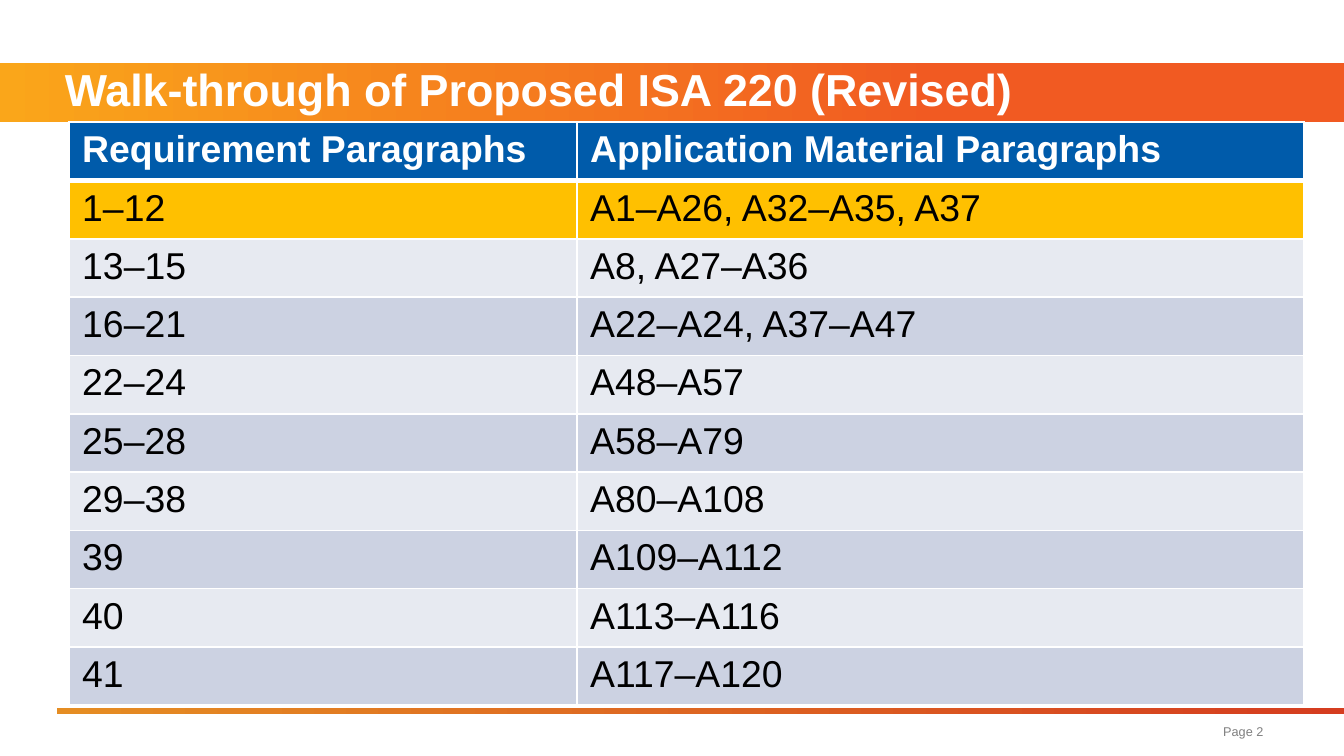
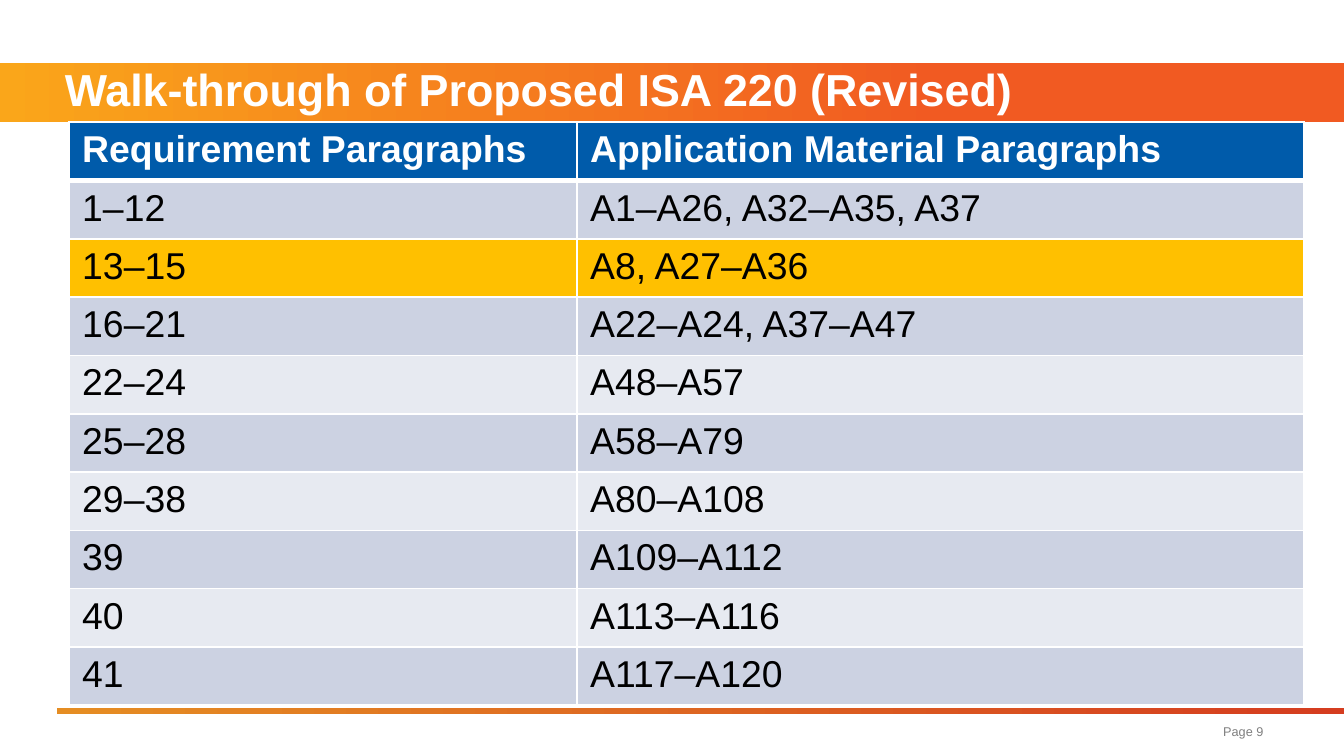
"""Build two walk-through slides that highlight successive rows of one table."""
from lxml.etree import SubElement
from pptx import Presentation
from pptx.dml.color import RGBColor
from pptx.enum.shapes import MSO_SHAPE
from pptx.enum.text import MSO_ANCHOR, MSO_AUTO_SIZE, PP_ALIGN
from pptx.oxml.ns import qn
from pptx.util import Cm, Pt

TITLE = "Walk-through of Proposed ISA 220 (Revised)"
HEADER = ("Requirement Paragraphs", "Application Material Paragraphs")
PARAGRAPHS = [
    ("1‒12", "A1‒A26, A32‒A35, A37"),
    ("13‒15", "A8, A27‒A36"),
    ("16‒21", "A22‒A24, A37‒A47"),
    ("22‒24", "A48‒A57"),
    ("25‒28", "A58‒A79"),
    ("29‒38", "A80‒A108"),
    ("39", "A109‒A112"),
    ("40", "A113‒A116"),
    ("41", "A117‒A120"),
]
SLIDES = [
    {"page": "Page 2", "highlighted_row": 1},
    {"page": "Page 9", "highlighted_row": 2},
]

COLORS = {
    "white": "FFFFFF",
    "black": "000000",
    "gray": "808080",
    "header": "005BAA",
    "highlight": "FFC000",
    "odd_row": "CCD2E2",
    "even_row": "E7EAF1",
    "band_start": "FAA61A",
    "band_end": "F15A22",
    "rule_start": "E58D23",
    "rule_end": "D53D20",
}
FONT = "Arial"
SLIDE_SIZE = (Cm(25.4), Cm(14.29))
BAND = (Cm(0), Cm(1.19), Cm(25.4), Cm(1.12))
RULE = (Cm(1.07), Cm(13.39), Cm(24.33), Cm(0.1))
PAGE_BOX = (Cm(16.46), Cm(13.56), Cm(7.67), Cm(0.64))
TABLE_LEFT, TABLE_TOP = Cm(1.3), Cm(2.31)
COLUMN_WIDTHS = (Cm(9.6), Cm(13.74))
ROW_HEIGHT = Cm(1.04)
TITLE_INDENT = Cm(0.97)


def color(name):
    return RGBColor.from_string(COLORS[name])


def add_run(paragraph, text, size, color_name, bold=False):
    run = paragraph.add_run()
    run.text = text
    run.font.name = FONT
    run.font.size = Pt(size)
    run.font.bold = bold
    run.font.color.rgb = color(color_name)


def add_gradient_bar(slide, box, start, end, end_position):
    shape = slide.shapes.add_shape(MSO_SHAPE.RECTANGLE, *box)
    shape.shadow.inherit = False
    shape.line.fill.background()
    shape.fill.gradient()
    shape.fill.gradient_angle = 0
    stops = shape.fill.gradient_stops
    for stop, name, position in zip(stops, (start, end), (0, end_position)):
        stop.color.rgb = color(name)
        stop.position = position
    slide.shapes.title.element.addprevious(shape.element)


def fill_title(title):
    title.left, title.top, title.width, title.height = BAND
    frame = title.text_frame
    frame.auto_size = MSO_AUTO_SIZE.NONE
    frame.vertical_anchor = MSO_ANCHOR.MIDDLE
    paragraph = frame.paragraphs[0]
    paragraph.alignment = PP_ALIGN.LEFT
    paragraph.line_spacing = Pt(24)
    properties = paragraph._p.get_or_add_pPr()
    properties.set("marL", str(TITLE_INDENT))
    properties.set("indent", "0")
    add_run(paragraph, TITLE, 24, "white", bold=True)


def add_page_label(slide, label):
    frame = slide.shapes.add_textbox(*PAGE_BOX).text_frame
    frame.word_wrap = True
    paragraph = frame.paragraphs[0]
    paragraph.alignment = PP_ALIGN.RIGHT
    add_run(paragraph, label, 6.8, "gray")


def set_borders(cell, top, bottom):
    properties = cell._tc.get_or_add_tcPr()
    for side, points in (("L", 1), ("R", 1), ("T", top), ("B", bottom)):
        line = SubElement(properties, qn(f"a:ln{side}"), w=str(Pt(points)))
        fill = SubElement(line, qn("a:solidFill"))
        SubElement(fill, qn("a:srgbClr"), val=COLORS["white"])


def row_fill(row, highlighted_row):
    if row == 0:
        return "header"
    if row == highlighted_row:
        return "highlight"
    return "odd_row" if row % 2 else "even_row"


def add_paragraph_table(slide, highlighted_row):
    rows = [HEADER, *PARAGRAPHS]
    table = slide.shapes.add_table(
        len(rows), len(HEADER), TABLE_LEFT, TABLE_TOP,
        sum(COLUMN_WIDTHS), ROW_HEIGHT * len(rows),
    ).table
    for column, width in zip(table.columns, COLUMN_WIDTHS):
        column.width = width
    for row, texts in enumerate(rows):
        is_header = row == 0
        for column, text in enumerate(texts):
            cell = table.cell(row, column)
            set_borders(cell, 3 if row == 1 else 1, 3 if is_header else 1)
            cell.fill.solid()
            cell.fill.fore_color.rgb = color(row_fill(row, highlighted_row))
            add_run(cell.text_frame.paragraphs[0], text, 20,
                    "white" if is_header else "black", bold=is_header)


def main():
    presentation = Presentation()
    presentation.slide_width, presentation.slide_height = SLIDE_SIZE
    title_only = presentation.slide_layouts[5]
    for content in SLIDES:
        slide = presentation.slides.add_slide(title_only)
        add_gradient_bar(slide, BAND, "band_start", "band_end", 0.7)
        add_gradient_bar(slide, RULE, "rule_start", "rule_end", 1)
        fill_title(slide.shapes.title)
        add_page_label(slide, content["page"])
        add_paragraph_table(slide, content["highlighted_row"])
    presentation.save("out.pptx")


if __name__ == "__main__":
    main()
